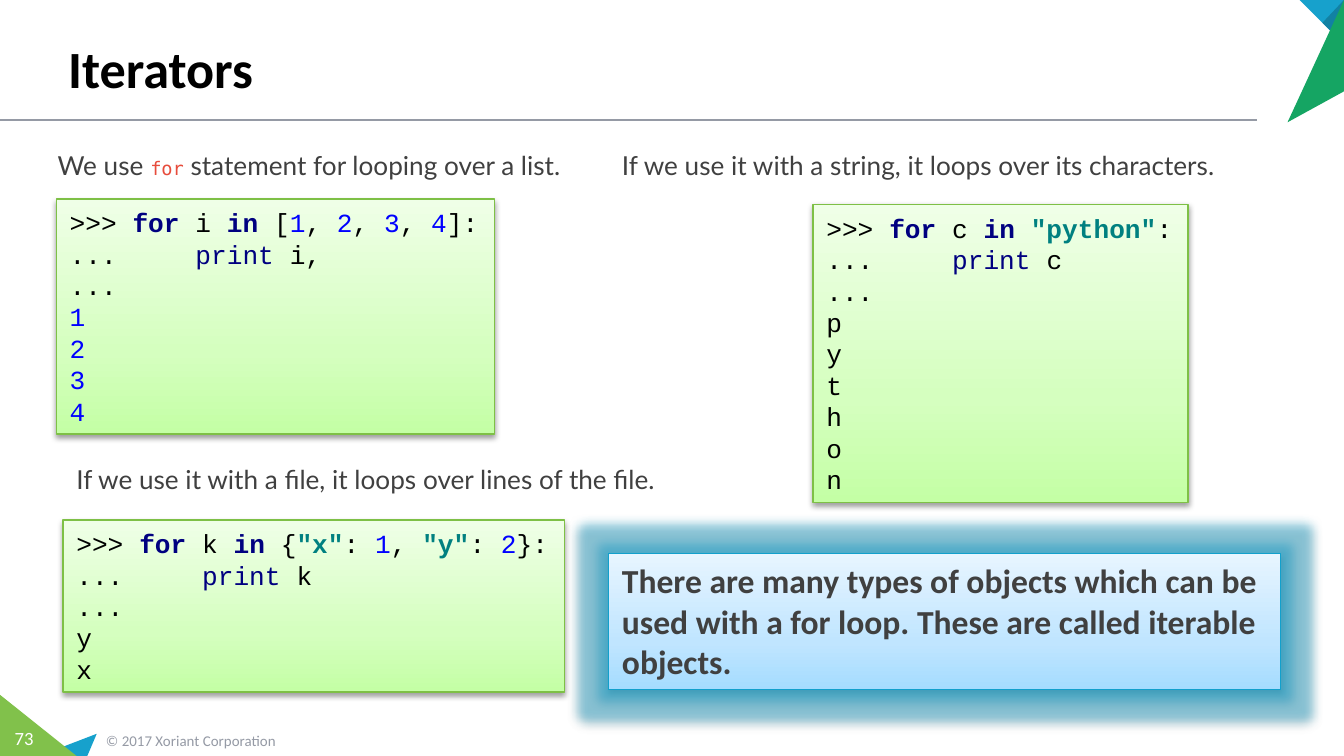
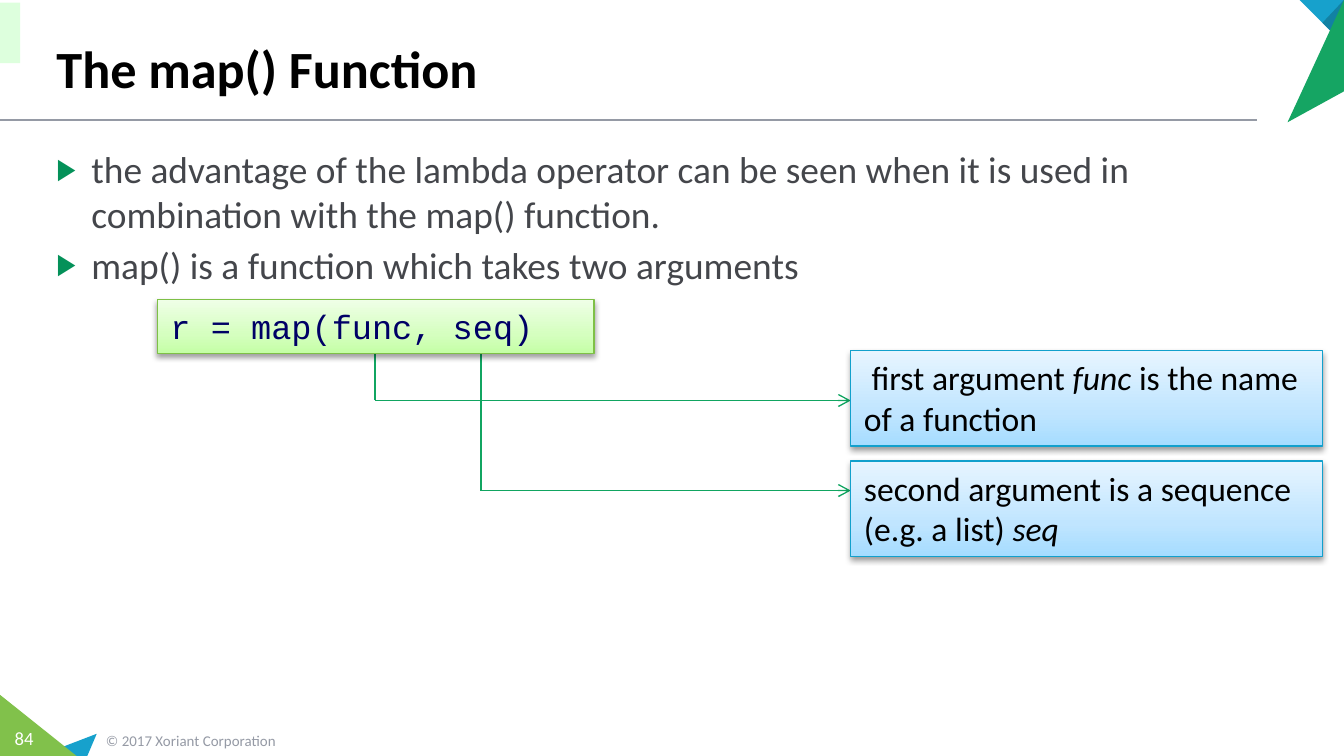
from lxml.etree import SubElement
from pptx import Presentation
from pptx.dml.color import RGBColor
from pptx.enum.shapes import MSO_CONNECTOR, MSO_SHAPE
from pptx.enum.text import MSO_ANCHOR, MSO_AUTO_SIZE, PP_ALIGN
from pptx.oxml import parse_xml
from pptx.oxml.ns import nsdecls, qn
from pptx.util import Inches, Pt

COLORS = {
    "black": "000000", "white": "FFFFFF", "gray": "959AA5", "text": "404040",
    "body": "44464B", "blue": "17A1CC", "deep blue": "1281A3", "lime": "81C14B",
    "green": "15A563", "arrow": "11A561", "bullet": "049159", "mint": "DDFFDD",
    "navy": "000080", "number": "0000FF", "string": "008080", "red": "E74C3C",
    "call": "000066", "lime edge": "7EC046", "blue edge": "12A0CC",
}
# Panel styles: gradient stops from bottom to top, then the outline
PANELS = {
    "code": (("C4FFA5", "D5FFBF", "EFFFE7"), "lime edge"),
    "note": (("A5DCFF", "C0E5FF", "E7F5FF"), "blue edge"),
}
# Span formats
PLAIN = {}
KEYWORD = {"color": "navy", "bold": True}
BUILTIN = {"color": "navy"}
NUMBER = {"color": "number"}
STRING = {"color": "string", "bold": True}
ITALIC = {"italic": True}

# The grid: 100 columns by 56.25 rows of square cells
CELL = Inches(0.1)
COLUMNS, ROWS = 100, 56.25


def write(box, lines, anchor=MSO_ANCHOR.TOP, wrap=True, align=PP_ALIGN.LEFT,
          bullet=None, after=0, **base):
    """Fill a shape; each paragraph is a string or a list of (text, format) spans."""
    frame = box.text_frame
    frame.auto_size = MSO_AUTO_SIZE.NONE
    frame.word_wrap, frame.vertical_anchor = wrap, anchor
    for index, line in enumerate(lines):
        para = frame.add_paragraph() if index else frame.paragraphs[0]
        para.alignment = align
        para.space_before, para.space_after = Pt(0), Pt(after)
        if bullet:
            props = para._p.get_or_add_pPr()
            props.set("marL", str(Inches(0.26)))
            props.set("indent", str(-Inches(0.26)))
            tint = SubElement(props, qn("a:buClr"))
            SubElement(tint, qn("a:srgbClr"), val=COLORS["bullet"])
            SubElement(props, qn("a:buSzPct"), val="80000")
            SubElement(props, qn("a:buFont"), typeface="Arial")
            SubElement(props, qn("a:buChar"), char=bullet)
        for text, extra in [(line, PLAIN)] if isinstance(line, str) else line:
            style = {**base, **extra}
            for position, part in enumerate(text.split("\n")):
                if position:
                    para.add_line_break()
                    mark = SubElement(para._p[-1], qn("a:rPr"),
                                      sz=str(style["size"] * 100))
                    SubElement(mark, qn("a:latin"), typeface=style["font"])
                if not part:
                    continue
                span = para.add_run()
                span.text = part
                span.font.name, span.font.size = style["font"], Pt(style["size"])
                span.font.bold = style.get("bold", False)
                span.font.italic = style.get("italic", False)
                span.font.color.rgb = RGBColor.from_string(COLORS[style["color"]])


def add_box(page, spot, panel=None, glow=""):
    """Add a text box, or a gradient panel with a soft shadow."""
    spot = [round(CELL * cells) for cells in spot]
    if not panel:
        return page.shapes.add_textbox(*spot)
    box = page.shapes.add_shape(MSO_SHAPE.RECTANGLE, *spot)
    tints, edge = PANELS[panel]
    box.line.color.rgb = RGBColor.from_string(COLORS[edge])
    box.line.width = Pt(0.75)
    stops = "".join(f'<a:gs pos="{place}"><a:srgbClr val="{tint}"/></a:gs>'
                    for place, tint in zip((0, 35000, 100000), tints))
    props = box._element.spPr
    props.find(qn("a:prstGeom")).addnext(parse_xml(
        f'<a:gradFill {nsdecls("a")} rotWithShape="1"><a:gsLst>{stops}</a:gsLst>'
        '<a:lin ang="16200000" scaled="0"/></a:gradFill>'))
    props.append(parse_xml(
        f'<a:effectLst {nsdecls("a")}>{glow}<a:outerShdw blurRad="{Pt(3.1)}" '
        f'dist="{Pt(1.6)}" dir="5400000" rotWithShape="0"><a:srgbClr val="000000">'
        '<a:alpha val="38000"/></a:srgbClr></a:outerShdw></a:effectLst>'))
    return box


deck = Presentation()
deck.slide_width, deck.slide_height = CELL * COLUMNS, round(CELL * ROWS)
iterators = deck.slides.add_slide(deck.slide_layouts[5])
map_page = deck.slides.add_slide(deck.slide_layouts[1])

# Shared parts: corner triangles, footer, title
triangles = [
    ("blue", [(7.2, 54.6), (6.5, ROWS), (2.9, ROWS)]),
    ("lime", [(0, 51.7), (5.7, ROWS), (0, ROWS)]),
    ("blue", [(96.7, 0), (COLUMNS, 0), (COLUMNS, 3.3)]),
    ("deep blue", [(98.4, 1.7), (COLUMNS, 0), (COLUMNS, 3.3)]),
    ("green", [(95.8, 9.1), (COLUMNS, 0), (COLUMNS, 6.8)]),
]
# Lines of each page: start, end, colour, width, arrowhead
rule = ((0, 8.93), (93.5, 8.93), "gray", 1, False)
arrows = [
    ((27.9, 26.3), (27.9, 29.8), "arrow", 0.75, False),
    ((35.8, 26.3), (35.8, 36.5), "arrow", 0.75, False),
    ((27.9, 29.8), (63.3, 29.8), "arrow", 0.75, True),
    ((35.8, 36.5), (63.3, 36.5), "arrow", 0.75, True),
]
for page, title, number, lines in [
    (iterators, " Iterators", "73", [rule]),
    (map_page, "The map() Function", "84", [rule, *arrows]),
]:
    for color, corners in triangles:
        points = [(CELL * column, CELL * row) for column, row in corners]
        builder = page.shapes.build_freeform(*points[0])
        builder.add_line_segments(points[1:], close=True)
        triangle = builder.convert_to_shape()
        triangle.shadow.inherit = False
        triangle.fill.solid()
        triangle.fill.fore_color.rgb = RGBColor.from_string(COLORS[color])
        triangle.line.fill.background()
    for start, end, color, width, pointed in lines:
        line = page.shapes.add_connector(
            MSO_CONNECTOR.STRAIGHT, *[round(CELL * cells) for cells in start + end])
        line.line.color.rgb = RGBColor.from_string(COLORS[color])
        line.line.width = Pt(width)
        if pointed:
            SubElement(line.line._get_or_add_ln(), qn("a:tailEnd"), type="arrow")
        SubElement(line._element.spPr, qn("a:effectLst"))
    write(add_box(page, (6.9, 53.9, 23.3, 2.4)), ["© 2017 Xoriant Corporation"],
          anchor=MSO_ANCHOR.MIDDLE, font="Calibri", size=8, color="gray")
    page_number = add_box(page, (0, 53.6, 3.6, 2.7))
    page_number.text_frame.margin_left = page_number.text_frame.margin_right = 0
    write(page_number, [number], align=PP_ALIGN.CENTER,
          font="Calibri", size=10, color="white")
    heading = page.shapes.title
    heading.left, heading.top, heading.width, heading.height = [
        round(CELL * cells) for cells in (3.2, 0.65, 90, 7.2)]
    write(heading, [title], anchor=MSO_ANCHOR.BOTTOM,
          font="Calibri", size=28, color="black", bold=True)

# Iterators: captions
captions = [
    ((3.3, 10.6, 40.1, 3.4), [
        ("We use ", PLAIN),
        ("for", {"font": "DejaVu Sans Mono", "size": 10, "color": "red"}),
        (" statement for looping over a list.", PLAIN)]),
    ((45.3, 10.6, 50, 3.4), "If we use it with a string, it loops over its characters."),
    ((4.7, 34, 50, 3.4), "If we use it with a file, it loops over lines of the file."),
]
for spot, caption in captions:
    write(add_box(iterators, spot), [caption], font="Lato", size=14, color="text")

# Iterators: code panels, each with its loop variable, output and looped items
loops = [
    ((4.2, 14.8, 32.6, 17.5), "i", "i,", "1234", NUMBER, [
        ("[", PLAIN), ("1", NUMBER), (", ", PLAIN), ("2", NUMBER), (", ", PLAIN),
        ("3", NUMBER), (", ", PLAIN), ("4", NUMBER), ("]:", PLAIN)]),
    ((60.5, 15.2, 27.9, 22.2), "c", "c", "python", PLAIN, [
        ('"python"', STRING), (":", PLAIN)]),
    ((4.7, 38.7, 37.3, 12.8), "k", "k", "yx", PLAIN, [
        ("{", PLAIN), ('"x"', STRING), (": ", PLAIN), ("1", NUMBER), (", ", PLAIN),
        ('"y"', STRING), (": ", PLAIN), ("2", NUMBER), ("}:", PLAIN)]),
]
for spot, variable, printed, output, output_style, items in loops:
    code = [
        (">>> ", PLAIN), ("for ", KEYWORD), (variable + " ", PLAIN),
        ("in ", KEYWORD), *items,
        ("\n...     ", PLAIN), ("print ", BUILTIN), (printed + "\n...\n", PLAIN),
        ("\n".join(output), output_style),
    ]
    write(add_box(iterators, spot, "code"), [code], anchor=MSO_ANCHOR.MIDDLE,
          wrap=False, font="Courier New", size=14, color="black")

# Iterators: glowing conclusion
glow = (f'<a:glow rad="{Pt(11)}"><a:srgbClr val="{COLORS["blue edge"]}">'
        '<a:alpha val="40000"/></a:srgbClr></a:glow>')
write(add_box(iterators, (45.3, 41.2, 50, 10.1), "note", glow),
      ["There are many types of objects which can be used with a for loop. "
       "These are called iterable objects."],
      font="Calibri", size=18, color="text", bold=True)

# map(): bullet list
body = map_page.placeholders[1]
body.left, body.top, body.width, body.height = [
    round(CELL * cells) for cells in (3.2, 10.4, 91.7, 11.9)]
write(body, [
    "the advantage of the lambda operator can be seen when it is used in "
    "combination with the map() function.",
    "map() is a function which takes two arguments",
], bullet="▶", after=3, font="Calibri", size=20, color="body")

# map(): pale tab at the left edge
tab = map_page.shapes.add_shape(
    MSO_SHAPE.RECTANGLE, *[round(CELL * cells) for cells in (0, 0.2, 1.5, 4.5)])
tab.shadow.inherit = False
tab.fill.solid()
tab.fill.fore_color.rgb = RGBColor.from_string(COLORS["mint"])
tab.line.fill.background()

# map(): the call and its two arguments
write(add_box(map_page, (11.7, 22.3, 32.5, 4), "code"), ["r = map(func, seq)"],
      font="Courier New", size=18, color="call")
arguments = [
    [(" first argument ", PLAIN), ("func", ITALIC), (" is the name of a function", PLAIN)],
    [("second argument is a sequence (e.g. a list) ", PLAIN), ("seq", ITALIC)],
]
for row, argument in enumerate(arguments):
    write(add_box(map_page, (63.3, 26.1 + 8.2 * row, 35.1, 7.1), "note"), [argument],
          font="Calibri", size=18, color="black")

deck.save("out.pptx")
